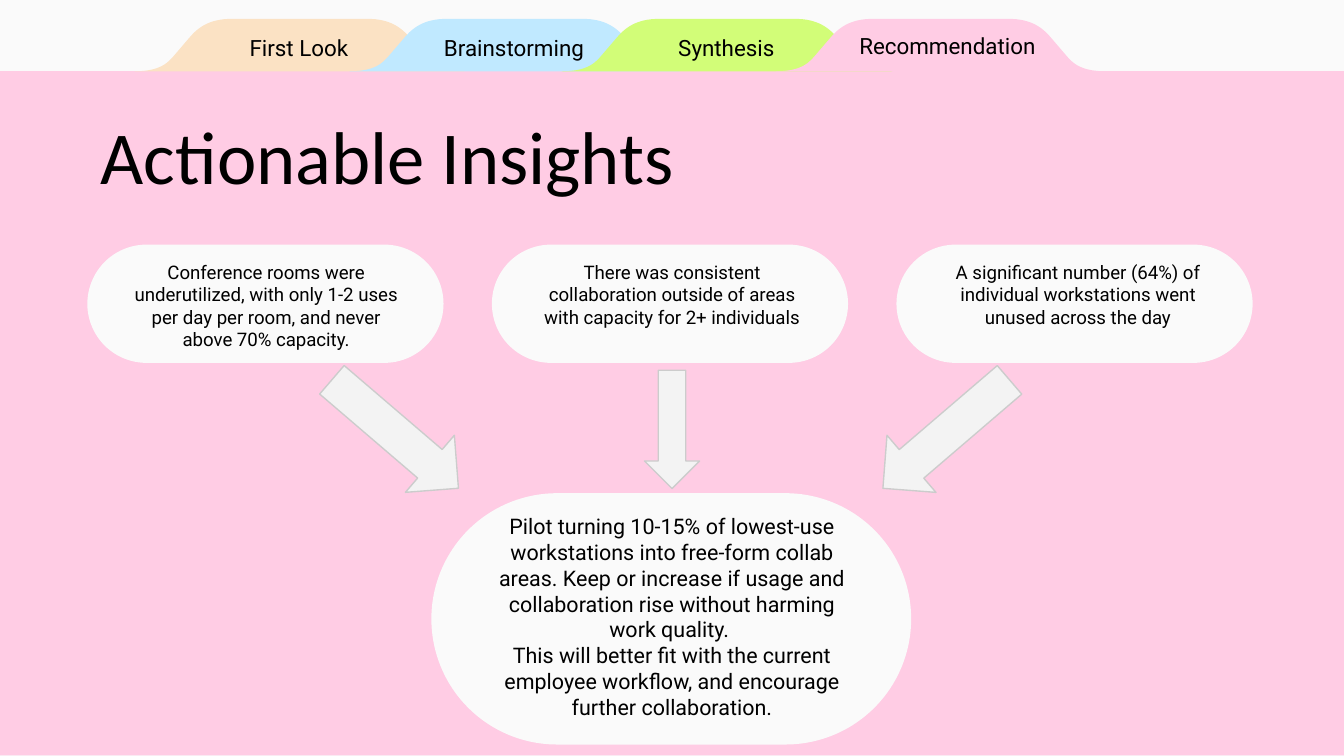
from pptx import Presentation
from pptx.dml.color import RGBColor
from pptx.enum import shapes, text
from pptx.util import Inches, Pt

PINK, PAPER, BLACK = "FFCCE4", "FAFAFA", "000000"
TAB_WIDTH, TAB_TOP, TAB_HEIGHT = 2.46, 0.14, 0.39

# Name, left edge, colour, label left, label width and line spacing of each tab
TABS = [
    ("First Look", 1, "FBE2C4", 1.44, 1.57, 1.15),
    ("Brainstorming", 2.6, "C0E9FF", 3.04, 1.57, 1.15),
    ("Synthesis", 4.18, "D2FD78", 4.62, 1.57, 1.15),
    ("Recommendation", 5.77, PINK, 6.26, 1.58, 1),
]
# Control points of the two curves on a tab's left edge
TAB_FOOT = [(0, 0.53), (0.16, 0.53), (0.23, 0.49), (0.29, 0.42)]
TAB_SHOULDER = [(0.41, 0.28), (0.47, 0.21), (0.55, 0.14), (0.73, 0.14)]
CURVE_STEPS = 16

FINDINGS = [
    "Conference rooms were underutilized, with only 1-2 uses per day per room, "
    "and never above 70% capacity.",
    "There was consistent collaboration outside of areas with capacity for "
    "2+ individuals",
    "A significant number (64%) of individual workstations went unused across "
    "the day",
]
RECOMMENDATION = [
    "Pilot turning 10-15% of lowest-use workstations into free-form collab "
    "areas. Keep or increase if usage and collaboration rise without harming "
    "work quality. ",
    "This will better fit with the current employee workflow, and encourage "
    "further collaboration.",
]
# Left, top, width, height and rotation of each arrow
ARROWS = [
    (2.32, 2.95, 1.24, 0.56, 40.6),
    (6.42, 2.95, 1.24, 0.56, 139.4),
    (4.56, 2.99, 0.88, 0.41, 90),
]


def color(hex_value):
    return RGBColor.from_string(hex_value)


def paint(shape, fill, line=None):
    shape.shadow.inherit = False
    shape.fill.solid()
    shape.fill.fore_color.rgb = color(fill)
    if line:
        shape.line.color.rgb = color(line)
        shape.line.width = Pt(0.75)
    else:
        shape.line.fill.background()


def write(frame, paragraphs, size, font="Roboto", align=text.PP_ALIGN.CENTER,
          anchor=text.MSO_ANCHOR.TOP, insets=(0.1, 0.1, 0.1, 0.1), spacing=1):
    frame.word_wrap = True
    frame.auto_size = text.MSO_AUTO_SIZE.NONE
    frame.vertical_anchor = anchor
    (frame.margin_left, frame.margin_top,
     frame.margin_right, frame.margin_bottom) = map(Inches, insets)
    frame.text = "\n".join(paragraphs)
    for paragraph in frame.paragraphs:
        paragraph.alignment = align
        paragraph.line_spacing = spacing
        paragraph.font.name = font
        paragraph.font.size = Pt(size)
        paragraph.font.color.rgb = color(BLACK)


def add_label(slide, box, paragraphs, size, **layout):
    label = slide.shapes.add_textbox(*map(Inches, box))
    write(label.text_frame, paragraphs, size, **layout)


def add_panel(slide, box, fill, rounding=0.5):
    panel = slide.shapes.add_shape(
        shapes.MSO_SHAPE.ROUNDED_RECTANGLE, *map(Inches, box))
    panel.adjustments[0] = rounding
    paint(panel, fill)


def curve(controls):
    """Points along a cubic Bezier curve."""
    points = []
    for step in range(CURVE_STEPS + 1):
        t = step / CURVE_STEPS
        weights = ((1 - t) ** 3, 3 * t * (1 - t) ** 2, 3 * t * t * (1 - t), t ** 3)
        points.append(tuple(sum(w * c for w, c in zip(weights, axis))
                            for axis in zip(*controls)))
    return points


def add_tab(slide, left, fill):
    left_edge = curve(TAB_FOOT) + curve(TAB_SHOULDER)
    right_edge = [(TAB_WIDTH - x, y) for x, y in reversed(left_edge)]
    outline = [(Inches(left + x), Inches(y)) for x, y in left_edge + right_edge]
    builder = slide.shapes.build_freeform(*outline[0])
    builder.add_line_segments(outline[1:], close=True)
    paint(builder.convert_to_shape(), fill)


def add_arrow(slide, left, top, width, height, rotation):
    arrow = slide.shapes.add_shape(
        shapes.MSO_SHAPE.RIGHT_ARROW, *map(Inches, (left, top, width, height)))
    arrow.rotation = rotation
    paint(arrow, "F3F3F3", "CCCCCC")


def set_title(slide, title):
    heading = slide.shapes.title
    heading.left, heading.top = Inches(0.65), Inches(0.82)
    heading.width, heading.height = Inches(7.72), Inches(1)
    write(heading.text_frame, [title], 40, font="Calibri",
          align=text.PP_ALIGN.LEFT, insets=(0.1, 0, 0.1, 0.1))
    # Bring the title in front of the folder
    heading.element.getparent().append(heading.element)


def main():
    deck = Presentation()
    deck.slide_width, deck.slide_height = Inches(10), Inches(5.625)
    slide = deck.slides.add_slide(deck.slide_layouts[5])
    slide.background.fill.solid()
    slide.background.fill.fore_color.rgb = color(PAPER)

    # Folder with its tabs
    add_panel(slide, (0, 0.53, 10, 5.09), PINK, rounding=0)
    for _, left, fill, *_ in TABS:
        add_tab(slide, left, fill)
    set_title(slide, "Actionable Insights")
    for name, _, _, left, width, spacing in TABS:
        add_label(slide, (left, TAB_TOP, width, TAB_HEIGHT), [name], 12,
                  anchor=text.MSO_ANCHOR.MIDDLE, insets=(0.1, 0, 0.1, 0),
                  spacing=spacing)

    # Row of findings
    for column, finding in enumerate(FINDINGS):
        add_panel(slide, (0.65 + 3.01 * column, 1.82, 2.65, 0.88), PAPER)
        add_label(slide, (0.88 + 3.02 * column, 1.84, 2.2, 0.84), [finding], 10)

    # Recommendation they lead to
    add_panel(slide, (3.21, 3.67, 3.57, 1.87), PAPER)
    add_label(slide, (3.52, 3.69, 2.96, 1.73), RECOMMENDATION, 11.5,
              insets=(0.13, 0.13, 0.13, 0.13))
    for arrow in ARROWS:
        add_arrow(slide, *arrow)

    deck.save("out.pptx")


if __name__ == "__main__":
    main()
